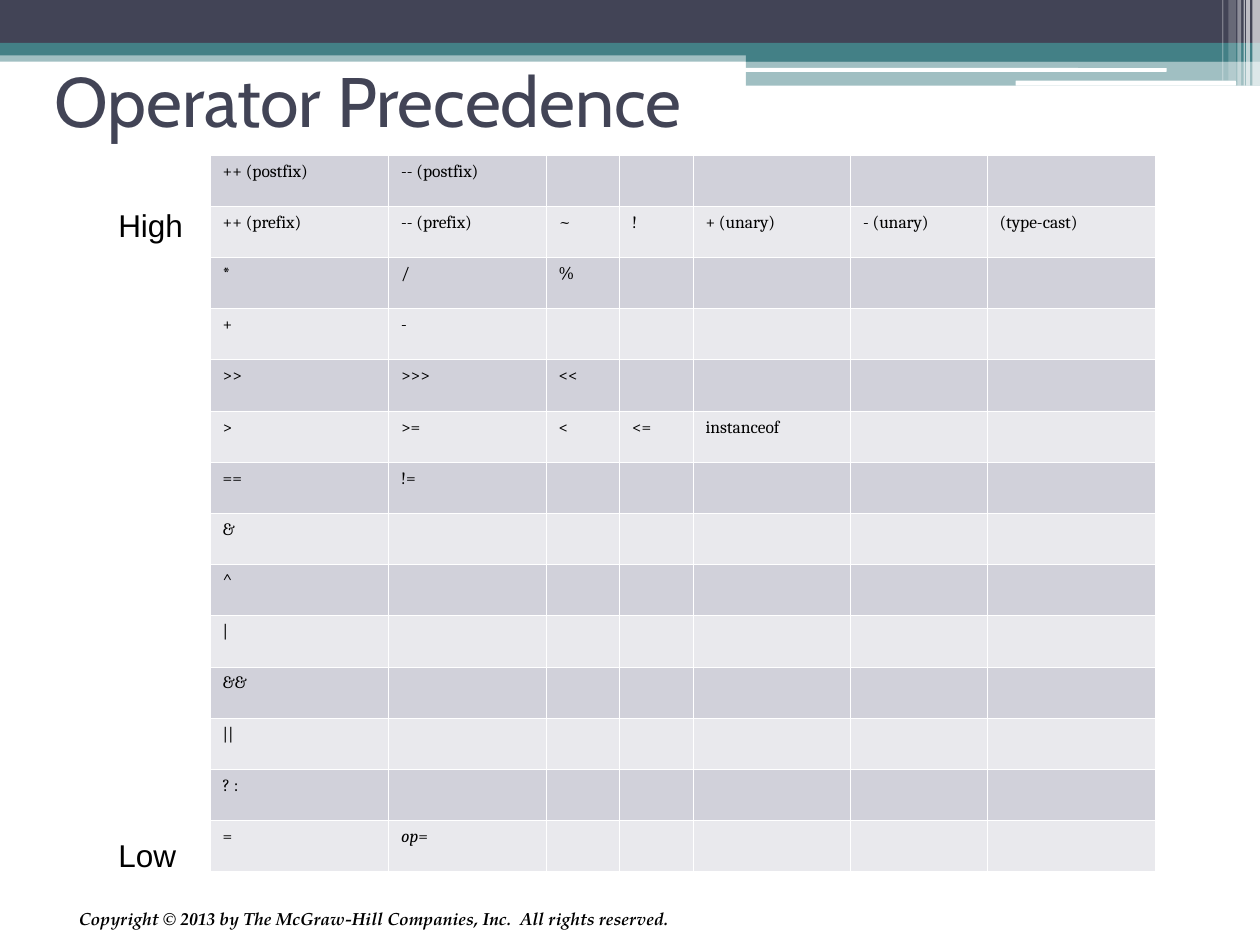
from dataclasses import dataclass

from lxml import etree
from pptx import Presentation
from pptx.dml.color import RGBColor
from pptx.enum.shapes import MSO_SHAPE
from pptx.enum.text import MSO_ANCHOR, MSO_AUTO_SIZE, PP_ALIGN
from pptx.oxml.ns import qn
from pptx.util import Emu, Inches, Pt

RECTANGLE = MSO_SHAPE.RECTANGLE
ROUNDED = MSO_SHAPE.ROUNDED_RECTANGLE
LEFT, RIGHT = PP_ALIGN.LEFT, PP_ALIGN.RIGHT
TOP, MIDDLE = MSO_ANCHOR.TOP, MSO_ANCHOR.MIDDLE
FIXED, GROW = MSO_AUTO_SIZE.NONE, MSO_AUTO_SIZE.SHAPE_TO_FIT_TEXT

NAVY = RGBColor(0x42, 0x44, 0x56)
TEAL = RGBColor(0x43, 0x80, 0x86)
WHITE = RGBColor(0xFF, 0xFF, 0xFF)
BLACK = RGBColor(0x00, 0x00, 0x00)
ROW_COLORS = (RGBColor(0xD1, 0xD1, 0xDA), RGBColor(0xE9, 0xE9, 0xED))

# The slide is a grid of 100 columns by 75 rows of square units
SLIDE_COLUMNS, SLIDE_ROWS = 100, 75
UNIT = Inches(0.1)


@dataclass(frozen=True)
class Bar:
    column: float
    row: float
    columns: float
    rows: float
    color: RGBColor
    opacity: int = 100
    preset: int = RECTANGLE


@dataclass(frozen=True)
class Label:
    text: str
    column: float
    row: float
    columns: float
    rows: float
    size: float
    font: str
    color: RGBColor = BLACK
    emphasis: bool = False
    wrap: bool = True
    align: int = LEFT
    anchor: int = TOP
    fit: int = GROW
    margin: tuple = (1, 0.5)


BARS = (
    # Header bands
    Bar(0, 4, 100, 0.9, TEAL, 50),
    Bar(0, 0, 100, 3.4, NAVY),
    Bar(0, 3.4, 100, 1, TEAL),
    Bar(59.2, 3.9, 40.8, 1, TEAL),
    Bar(59.2, 4.85, 40.8, 1.95, TEAL, 50),
    Bar(59.1, 5.4, 33.5, 0.3, WHITE, preset=ROUNDED),
    Bar(80.6, 6.4, 17.5, 0.4, WHITE, preset=ROUNDED),
    # Vertical stripes in the right corner
    Bar(99.4, 0, 0.6, 6.8, WHITE, 65),
    Bar(98.9, 0, 0.3, 6.8, WHITE, 65),
    Bar(98.7, 0, 0.1, 6.8, WHITE, 60),
    Bar(98.2, 0, 0.3, 6.8, WHITE, 40),
    Bar(97.5, 0, 0.6, 6.4, WHITE, 20),
    Bar(97, 0, 0.1, 6.4, WHITE, 30),
)

LABELS = (
    Label("Operator Precedence", 3.33, 3.33, 90, 9.17, 40, "Cabin", NAVY,
          anchor=MIDDLE, fit=FIXED),
    Label("Copyright © 2013 by The McGraw-Hill Companies, Inc.  All rights reserved.",
          3, 71.65, 50.9, 4.2, 10, "TeX Gyre Pagella",
          emphasis=True, align=RIGHT, margin=(0.9, 0.4)),
    Label("High", 8.4, 15.85, 7.5, 4, 18, "Arial", wrap=False, fit=FIXED),
    Label("Low", 8.4, 65.85, 7.5, 4, 18, "Arial", wrap=False, fit=FIXED),
)

# Operators from high to low precedence; a tuple holds an italic run and a plain run
OPERATORS = (
    ("++ (postfix)", "-- (postfix)"),
    ("++ (prefix)", "-- (prefix)", "~", "!", "+ (unary)", "- (unary)", "(type-cast)"),
    ("*", "/", "%"),
    ("+", "-"),
    (">>", ">>>", "<<"),
    (">", ">=", "<", "<=", "instanceof"),
    ("==", "!="),
    ("&",),
    ("^",),
    ("|",),
    ("&&",),
    ("||",),
    ("? :",),
    ("=", ("op", "=")),
)
TABLE_COLUMN, TABLE_ROW = 16.67, 12.3
TABLE_COLUMNS, TABLE_ROWS = 75, 56.9
COLUMN_SHARES = (17, 15, 7, 7, 15, 13, 16)


def units(count: float) -> Emu:
    return Emu(round(count * UNIT))


def add_run(paragraph, text: str, size: float, font: str, color: RGBColor,
            bold: bool = False, italic: bool = False) -> None:
    run = paragraph.add_run()
    run.text = text
    run.font.size = Pt(size)
    run.font.name = font
    run.font.color.rgb = color
    run.font.bold = bold
    run.font.italic = italic


def add_bar(slide, bar: Bar) -> None:
    shape = slide.shapes.add_shape(bar.preset, units(bar.column), units(bar.row),
                                   units(bar.columns), units(bar.rows))
    shape.shadow.inherit = False
    shape.fill.solid()
    shape.fill.fore_color.rgb = bar.color
    shape.line.fill.background()
    if bar.opacity < 100:
        color = shape.fill._xPr.find(qn("a:solidFill"))[0]
        etree.SubElement(color, qn("a:alpha"), val=str(bar.opacity * 1000))


def add_label(slide, label: Label) -> None:
    shape = slide.shapes.add_textbox(units(label.column), units(label.row),
                                     units(label.columns), units(label.rows))
    frame = shape.text_frame
    frame.word_wrap = label.wrap
    frame.auto_size = label.fit
    frame.vertical_anchor = label.anchor
    frame.margin_left = frame.margin_right = units(label.margin[0])
    frame.margin_top = frame.margin_bottom = units(label.margin[1])
    paragraph = frame.paragraphs[0]
    paragraph.alignment = label.align
    add_run(paragraph, label.text, label.size, label.font, label.color,
            label.emphasis, label.emphasis)


def add_borders(cell) -> None:
    properties = cell._tc.get_or_add_tcPr()
    for side in ("a:lnL", "a:lnR", "a:lnT", "a:lnB"):
        line = etree.SubElement(properties, qn(side), w=str(Pt(0.45)))
        fill = etree.SubElement(line, qn("a:solidFill"))
        etree.SubElement(fill, qn("a:srgbClr"), val=str(WHITE))


def add_operator_table(slide) -> None:
    table = slide.shapes.add_table(
        len(OPERATORS), len(COLUMN_SHARES), units(TABLE_COLUMN), units(TABLE_ROW),
        units(TABLE_COLUMNS), units(TABLE_ROWS)).table
    for column, share in zip(table.columns, COLUMN_SHARES):
        column.width = units(TABLE_COLUMNS * share / sum(COLUMN_SHARES))
    for row_index, operators in enumerate(OPERATORS):
        table.rows[row_index].height = units(TABLE_ROWS / len(OPERATORS))
        for column_index in range(len(COLUMN_SHARES)):
            cell = table.cell(row_index, column_index)
            add_borders(cell)
            cell.fill.solid()
            cell.fill.fore_color.rgb = ROW_COLORS[row_index % 2]
            if column_index < len(operators):
                operator = operators[column_index]
                italic, plain = operator if isinstance(operator, tuple) else ("", operator)
                paragraph = cell.text_frame.paragraphs[0]
                if italic:
                    add_run(paragraph, italic, 10, "Cambria", BLACK, italic=True)
                add_run(paragraph, plain, 10, "Cambria", BLACK)


def main() -> None:
    presentation = Presentation()
    presentation.slide_width = units(SLIDE_COLUMNS)
    presentation.slide_height = units(SLIDE_ROWS)
    slide = presentation.slides.add_slide(presentation.slide_layouts[6])
    for bar in BARS:
        add_bar(slide, bar)
    add_operator_table(slide)
    for label in LABELS:
        add_label(slide, label)
    presentation.save("out.pptx")


if __name__ == "__main__":
    main()
